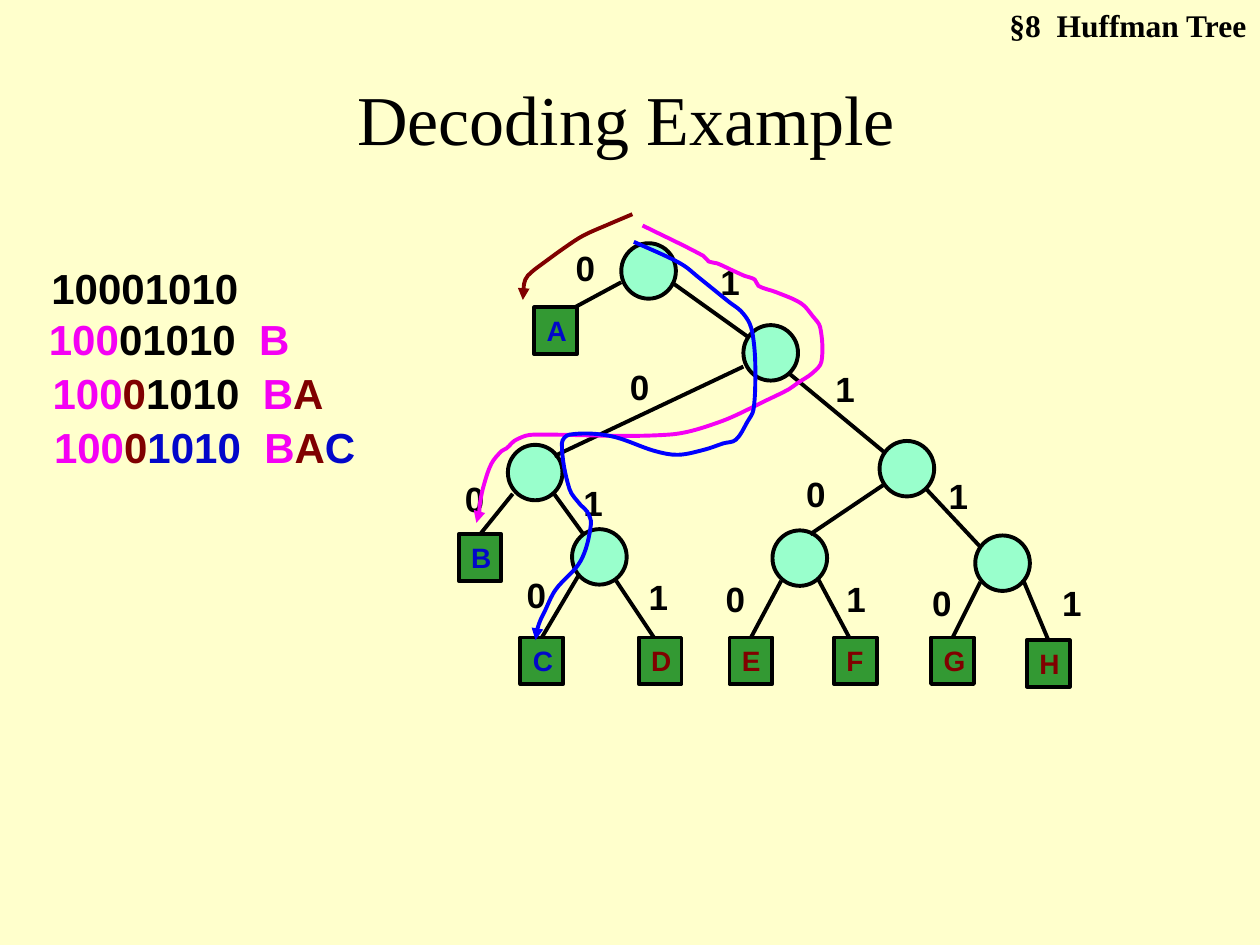
from math import hypot
from typing import NamedTuple

from lxml.etree import SubElement
from pptx import Presentation
from pptx.dml.color import RGBColor
from pptx.enum.shapes import MSO_CONNECTOR as Connector, MSO_SHAPE as Preset
from pptx.enum.text import MSO_ANCHOR as Anchor, MSO_AUTO_SIZE as AutoSize, PP_ALIGN as Align
from pptx.oxml.ns import qn
from pptx.util import Pt

BLACK, MAGENTA, MAROON, NAVY, BLUE = "000000", "F400F4", "800000", "0207CA", "0000FF"
PAPER, MINT, GREEN = "FFFFCC", "99FFCC", "339933"
SANS, SERIF = "Arial", "Times New Roman"
STROKE = 2.25
Point = tuple[float, float]


class Span(NamedTuple):
    text: str
    color: str = BLACK


class Code(NamedTuple):
    left: float
    top: float
    spans: list[Span]


class Leaf(NamedTuple):
    symbol: str
    left: float
    top: float = 364.3
    color: str = MAROON


class Edge(NamedTuple):
    start: Point
    end: Point
    leaf: str = ""


class Trace(NamedTuple):
    color: str
    points: list[Point]


B_SPAN, A_SPAN, C_SPAN = Span("B", MAGENTA), Span("A", MAROON), Span("C", NAVY)
B_CODE, A_CODE = Span("100", MAGENTA), Span("0", MAROON)
FIRST_CODE = Code(22.3, 146.2, [Span("10001010")])
DECODED_CODES = [
    Code(20.9, 175.7, [B_CODE, Span("01010  "), B_SPAN]),
    Code(23, 206.6, [B_CODE, A_CODE, Span("1010  "), B_SPAN, A_SPAN]),
    Code(23.8, 237.6, [B_CODE, A_CODE, Span("1010  ", NAVY), B_SPAN, A_SPAN, C_SPAN]),
]
NODES = [(355, 139), (326.9, 302.4), (441.4, 303.1), (424.8, 185.8),
         (502.6, 252), (290.2, 254.2), (557.3, 306)]
LEAVES = [
    Leaf("A", 305.3, 175.7, NAVY), Leaf("B", 262.1, 305.3, NAVY),
    Leaf("C", 297.4, color=NAVY), Leaf("D", 365), Leaf("E", 416.9),
    Leaf("F", 476.6), Leaf("G", 532.1), Leaf("H", 586.8, 365.8),
]
EDGES = [
    Edge((355, 161.3), (328.3, 175.7)), Edge((383.8, 161.3), (427, 192.2)),
    Edge((451.4, 213.8), (505.4, 258.5)), Edge((529.2, 279.4), (560.2, 312.5)),
    Edge((424.8, 209.5), (316.8, 260.6)), Edge((293, 282.2), (276.5, 305.3), "B"),
    Edge((316.1, 281.5), (333.4, 305.3)), Edge((352.1, 331.9), (373.7, 364.3)),
    Edge((330.5, 329), (310.3, 364.3), "C"), Edge((446.4, 331.9), (427, 364.3), "E"),
    Edge((467.3, 330.5), (485.3, 364.3)), Edge((560.2, 332.6), (545, 364.3), "G"),
    Edge((584.6, 331.2), (600.5, 365.8), "H"), Edge((504.7, 277.2), (463, 305.3)),
]
BITS = {
    "0": [(321.8, 137.5), (352.8, 205.2), (453.6, 266.4), (525.6, 329),
          (258.5, 269.3), (407.5, 326.2), (293.8, 324)],
    "1": [(404.6, 145.4), (470.2, 206.6), (535, 267.8), (599.8, 329),
          (326.2, 271.4), (476.6, 326.2), (363.6, 325.4)],
}
TRACES = [
    Trace(MAGENTA, [
        (367.2, 128.9), (401.8, 146.2), (405, 149.5), (409.7, 150.5), (417.6, 154.1),
        (425.5, 157.7), (431.3, 159.8), (433.4, 163.4), (443.5, 167), (457.9, 173.5),
        (464.4, 180.7), (468.7, 187.2), (469.4, 206.6), (464.4, 213.1), (455.8, 218.9),
        (450.7, 222.5), (439.2, 228.2), (411.1, 241.2), (382.3, 248.4), (305.3, 248.4),
        (300.2, 249.1), (293.8, 252), (292.3, 253.4), (289.4, 256.3), (286.6, 257.8),
        (280.8, 265), (276.5, 277.2), (274.3, 287.3), (273.6, 295.9), (272.2, 298.8)]),
    Trace(MAROON, [
        (361.4, 122.4), (347.8, 128.2), (333.4, 134.6), (323.3, 141.1),
        (310.3, 150.5), (303.8, 155.5), (300.2, 159.8), (298.8, 171.4)]),
    Trace(BLUE, [
        (362.2, 138.2), (381.6, 146.9), (391, 151.9), (398.2, 157.7), (409.7, 167),
        (416.9, 172.8), (423.4, 177.8), (428.4, 185), (430.6, 194.4), (431.6, 210),
        (430.6, 234), (427, 241.2), (420.5, 251.3), (413.3, 253.4), (402.5, 257),
        (387.4, 259.9), (374.4, 257.8), (348.5, 249.1), (325.4, 248.4), (321.1, 253.4),
        (325.4, 279.4), (331.9, 288.7), (335.5, 292.3), (337.7, 299.5), (331.9, 320.4),
        (317.5, 337), (311, 349.9), (308.9, 354.2), (306.7, 360.7), (306, 365.8)]),
]


def rgb(value: str) -> RGBColor:
    return RGBColor.from_string(value)


def style_run(run, size: float, color: str, face: str = SANS, bold: bool = True) -> None:
    run.font.size, run.font.name, run.font.bold = Pt(size), face, bold
    run.font.color.rgb = rgb(color)


def add_text(slide, left, top, width, height, spans: list[Span], size: float,
             face: str = SANS, align=Align.LEFT, wrap: bool = True) -> None:
    frame = slide.shapes.add_textbox(Pt(left), Pt(top), Pt(width), Pt(height)).text_frame
    frame.word_wrap, frame.auto_size = wrap, AutoSize.SHAPE_TO_FIT_TEXT
    paragraph = frame.paragraphs[0]
    paragraph.alignment = align
    for span in spans:
        run = paragraph.add_run()
        run.text = span.text
        style_run(run, size, span.color, face)


def add_code(slide, code: Code) -> None:
    add_text(slide, code.left, code.top, 665.3, 36, code.spans, 24)


def add_vertex(slide, preset, left: float, top: float, width: float, height: float, fill: str):
    vertex = slide.shapes.add_shape(preset, Pt(left), Pt(top), Pt(width), Pt(height))
    vertex.shadow.inherit = False
    vertex.fill.solid()
    vertex.fill.fore_color.rgb = rgb(fill)
    vertex.line.color.rgb, vertex.line.width = rgb(BLACK), Pt(STROKE)
    return vertex


def add_leaf(slide, leaf: Leaf):
    vertex = add_vertex(slide, Preset.RECTANGLE, leaf.left, leaf.top, 24.5, 26.6, GREEN)
    frame = vertex.text_frame
    frame.text = leaf.symbol
    frame.word_wrap, frame.vertical_anchor = False, Anchor.MIDDLE
    style_run(frame.paragraphs[0].runs[0], 16, leaf.color)
    return vertex


def add_edge(slide, edge: Edge, leaves: dict) -> None:
    ends = [Pt(value) for value in edge.start + edge.end]
    branch = slide.shapes.add_connector(Connector.STRAIGHT, *ends)
    branch.line.color.rgb, branch.line.width = rgb(BLACK), Pt(STROKE)
    SubElement(branch._element.spPr, qn("a:effectLst"))
    if edge.leaf:
        branch.end_connect(leaves[edge.leaf], 0)


def smooth(outline) -> None:
    knots = [(int(pt.get("x")), int(pt.get("y"))) for pt in outline._element.xpath(".//a:pt")]
    headings = []
    for before, after in zip(knots[:1] + knots[:-1], knots[1:] + knots[-1:]):
        dx, dy = after[0] - before[0], after[1] - before[1]
        headings.append((dx / hypot(dx, dy), dy / hypot(dx, dy)))
    for index, segment in enumerate(outline._element.xpath(".//a:lnTo")):
        (x1, y1), (x2, y2) = knots[index:index + 2]
        (u1, v1), (u2, v2) = headings[index:index + 2]
        reach = hypot(x2 - x1, y2 - y1) / 3
        curve = segment.makeelement(qn("a:cubicBezTo"))
        for x, y in ((x1 + u1 * reach, y1 + v1 * reach), (x2 - u2 * reach, y2 - v2 * reach), (x2, y2)):
            SubElement(curve, qn("a:pt"), x=str(round(x)), y=str(round(y)))
        segment.getparent().replace(segment, curve)


def add_trace(slide, trace: Trace) -> None:
    start, *rest = [(Pt(x), Pt(y)) for x, y in trace.points]
    builder = slide.shapes.build_freeform(*start)
    builder.add_line_segments(rest, close=False)
    outline = builder.convert_to_shape()
    smooth(outline)
    outline.shadow.inherit = False
    outline.fill.background()
    outline.line.color.rgb, outline.line.width = rgb(trace.color), Pt(STROKE)
    SubElement(outline._element.xpath(".//a:ln")[0], qn("a:tailEnd"), type="triangle")


def main() -> None:
    deck = Presentation()
    deck.slide_width, deck.slide_height = Pt(720), Pt(540)
    slide = deck.slides.add_slide(deck.slide_layouts[5])
    slide.background.fill.solid()
    slide.background.fill.fore_color.rgb = rgb(PAPER)

    title = slide.shapes.title
    title.left, title.top, title.width, title.height = Pt(51.8), Pt(22.3), Pt(612), Pt(90)
    title.text_frame.text = "Decoding Example"
    title.text_frame.vertical_anchor = Anchor.MIDDLE
    title.text_frame.paragraphs[0].alignment = Align.CENTER
    style_run(title.text_frame.paragraphs[0].runs[0], 40, BLACK, SERIF, False)

    add_code(slide, FIRST_CODE)
    for left, top in NODES:
        add_vertex(slide, Preset.OVAL, left, top, 31.2, 31.7, MINT)
    leaves = {leaf.symbol: add_leaf(slide, leaf) for leaf in LEAVES}
    for edge in EDGES:
        add_edge(slide, edge, leaves)
    for bit, places in BITS.items():
        for left, top in places:
            add_text(slide, left, top, 25.2, 31.7, [Span(bit)], 20, wrap=False)
    for code in DECODED_CODES:
        add_code(slide, code)
    for trace in TRACES:
        add_trace(slide, trace)
    add_text(slide, 555.1, 0, 164.2, 28.8, [Span("§8  Huffman Tree")], 18, SERIF, Align.RIGHT)
    deck.save("out.pptx")


if __name__ == "__main__":
    main()
